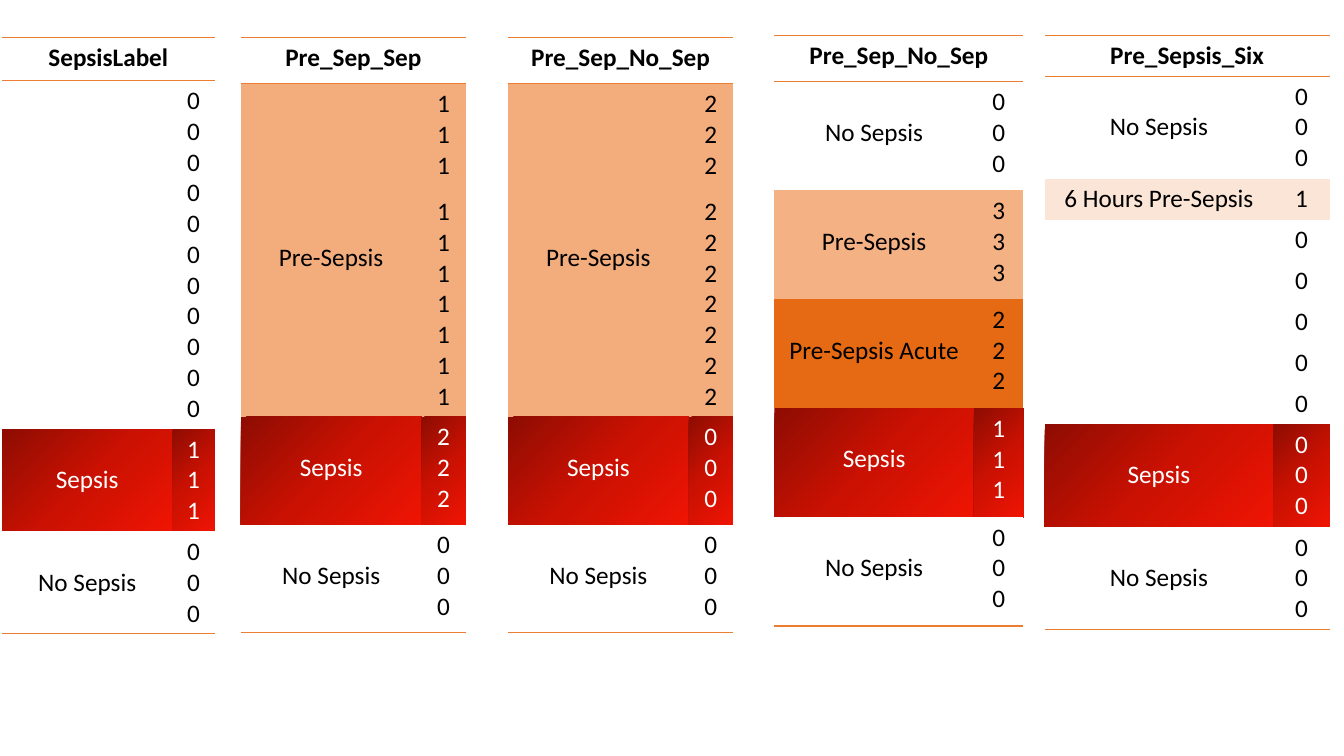
import dataclasses

import pptx
import pptx.dml.color
import pptx.enum.text
import pptx.oxml
import pptx.oxml.ns
import pptx.table
import pptx.util

Inches = pptx.util.Inches
RGBColor = pptx.dml.color.RGBColor

BLACK = RGBColor(0x00, 0x00, 0x00)
WHITE = RGBColor(0xFF, 0xFF, 0xFF)
ORANGE = RGBColor(0xED, 0x7D, 0x31)
PALE_PEACH = RGBColor(0xFB, 0xE5, 0xD6)
PEACH = RGBColor(0xF3, 0xAD, 0x7D)
LIGHT_ORANGE = RGBColor(0xF4, 0xB1, 0x83)
DEEP_ORANGE = RGBColor(0xE6, 0x69, 0x14)
SEPSIS_REDS = (
    (0, RGBColor(0x8E, 0x0C, 0x02)),
    (50, RGBColor(0xCA, 0x11, 0x02)),
    (100, RGBColor(0xEF, 0x14, 0x03)),
)
FONT = "Calibri"
FONT_SIZE = pptx.util.Pt(18)
CELL_MARGIN = Inches(0.05)
LINE_HEIGHT = Inches(0.305)
NO_GRID_STYLE = "{2D5ABB26-0587-4C30-8999-92F81FD0307C}"


@dataclasses.dataclass(frozen=True)
class Band:
    label: str
    rows: tuple[str, ...]
    fill: RGBColor | None = WHITE
    label_line: int = 1


@dataclasses.dataclass(frozen=True)
class LabelTable:
    title: str
    left: float
    top: float
    columns: tuple[float, float]
    heights: tuple[float, ...]
    bands: tuple[Band, ...]


def sepsis(digits: str) -> Band:
    return Band("Sepsis", (digits,), None)


NO_SEPSIS = Band("No Sepsis", ("000",))


def pre_sepsis_table(title: str, left: float, pre_digit: str, sepsis_digits: str) -> LabelTable:
    pre_sepsis = Band("Pre-Sepsis", (pre_digit * 3, pre_digit * 7), PEACH, 5)
    return LabelTable(title, left, 0.37, (1.79, 0.44), (0.46, 1.07, 2.19, 1.07, 1.07),
                      (pre_sepsis, sepsis(sepsis_digits), NO_SEPSIS))


TABLES = (
    LabelTable("SepsisLabel", 0.02, 0.37, (1.69, 0.42), (0.43, 3.41, 1.01, 1.01),
               (Band("", ("0" * 11,)), sepsis("111"), NO_SEPSIS)),
    pre_sepsis_table("Pre_Sep_Sep", 2.39, "1", "222"),
    pre_sepsis_table("Pre_Sep_No_Sep", 5.04, "2", "000"),
    LabelTable("Pre_Sep_No_Sep", 7.68, 0.35, (1.98, 0.49), (0.46,) + (1.08,) * 5,
               (NO_SEPSIS,
                Band("Pre-Sepsis", ("333",), LIGHT_ORANGE),
                Band("Pre-Sepsis Acute", ("222",), DEEP_ORANGE),
                sepsis("111"), NO_SEPSIS)),
    LabelTable("Pre_Sepsis_Six", 10.36, 0.35, (2.27, 0.56),
               (0.39, 1.02) + (0.39,) * 6 + (1.02, 1.02),
               (NO_SEPSIS,
                Band("6 Hours Pre-Sepsis", ("1",), PALE_PEACH, 0),
                Band("", ("0",) * 5),
                sepsis("000"), NO_SEPSIS)),
)


def write(cell: pptx.table._Cell, text: str, color: RGBColor, bold: bool = False) -> None:
    cell.text_frame.text = text
    for para in cell.text_frame.paragraphs:
        para.alignment = pptx.enum.text.PP_ALIGN.CENTER
        for span in para.runs:
            span.font.name = FONT
            span.font.size = FONT_SIZE
            span.font.bold = bold
            span.font.color.rgb = color


def paint(cell: pptx.table._Cell, fill: RGBColor | None) -> None:
    if fill is not None:
        cell.fill.solid()
        cell.fill.fore_color.rgb = fill
        return
    stops = "".join(f'<a:gs pos="{percent * 1000}"><a:srgbClr val="{color}"/></a:gs>'
                    for percent, color in SEPSIS_REDS)
    cell._tc.get_or_add_tcPr().append(pptx.oxml.parse_xml(
        f'<a:gradFill {pptx.oxml.ns.nsdecls("a")}><a:gsLst>{stops}</a:gsLst>'
        '<a:lin ang="2700000" scaled="0"/></a:gradFill>'))


def add_borders(cell: pptx.table._Cell, *sides: str) -> None:
    properties = cell._tc.get_or_add_tcPr()
    for index, side in enumerate(sides):
        properties.insert(index, pptx.oxml.parse_xml(
            f'<a:ln{side} {pptx.oxml.ns.nsdecls("a")} w="12700"><a:solidFill>'
            f'<a:srgbClr val="{ORANGE}"/></a:solidFill></a:ln{side}>'))


def draw_band(table: pptx.table.Table, first_row: int, band: Band) -> None:
    color = WHITE if band.fill is None else BLACK
    label_cell = table.cell(first_row, 0)
    for row, digits in enumerate(band.rows, first_row):
        write(table.cell(row, 1), "\n".join(digits), color)
        for column in range(2):
            paint(table.cell(row, column), band.fill)
    if len(band.rows) > 1:
        label_cell.merge(table.cell(first_row + len(band.rows) - 1, 0))
    if band.label:
        write(label_cell, band.label, color)
        label_cell.margin_top = CELL_MARGIN + band.label_line * LINE_HEIGHT


def draw_table(page: pptx.slide.Slide, layout: LabelTable) -> None:
    frame = page.shapes.add_table(
        len(layout.heights), 2, Inches(layout.left), Inches(layout.top),
        Inches(sum(layout.columns)), Inches(sum(layout.heights)))
    table = frame.table
    table.first_row = table.horz_banding = False
    table._tbl.tblPr.find(pptx.oxml.ns.qn("a:tableStyleId")).text = NO_GRID_STYLE
    for column, width in zip(table.columns, layout.columns):
        column.width = Inches(width)
    for row, height in zip(table.rows, layout.heights):
        row.height = Inches(height)

    table.cell(0, 0).merge(table.cell(0, 1))
    write(table.cell(0, 0), layout.title, BLACK, bold=True)
    first_row = 1
    for band in layout.bands:
        draw_band(table, first_row, band)
        first_row += len(band.rows)
    for column in range(2):
        add_borders(table.cell(0, column), "T", "B")
        add_borders(table.cell(first_row - 1, column), "B")


deck = pptx.Presentation()
deck.slide_width = Inches(13.33)
deck.slide_height = Inches(7.5)
page = deck.slides.add_slide(deck.slide_layouts[6])
for layout in TABLES:
    draw_table(page, layout)
deck.save("out.pptx")
